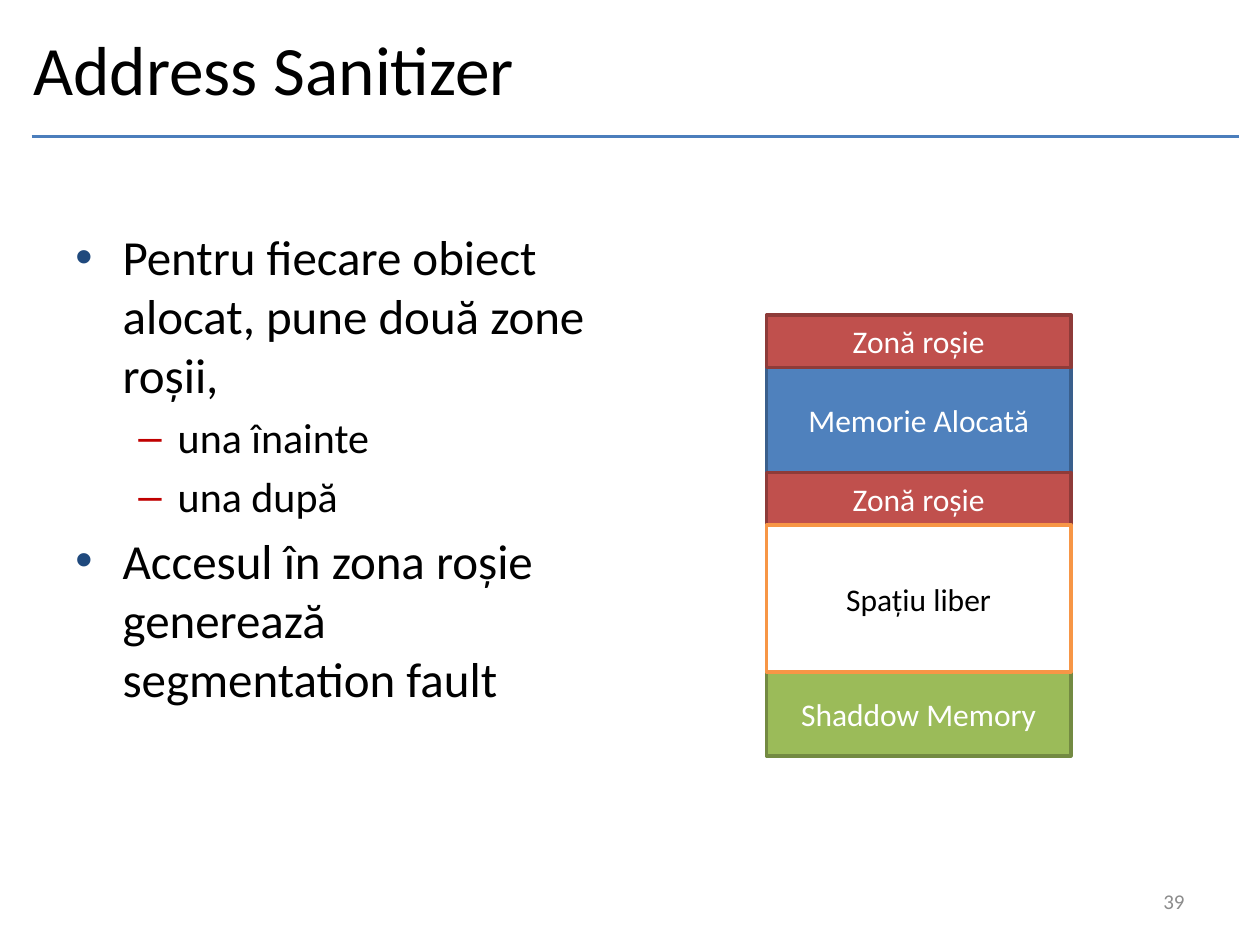
from lxml import etree
from pptx import Presentation
from pptx.dml.color import RGBColor
from pptx.enum import shapes, text
from pptx.oxml import ns
from pptx.util import Pt

FONT = "Calibri"
LEVELS = [
    {"size": 28, "left": 27, "hang": 27, "mark": "•", "color": "1F497D"},
    {"size": 24, "left": 58.5, "hang": 22.5, "mark": "–", "color": "C00000"},
]
POINTS = [
    (0, "Pentru fiecare obiect alocat, pune două zone roșii,"),
    (1, "una înainte"),
    (1, "una după"),
    (0, "Accesul în zona roșie generează segmentation fault"),
]
RED = ("C0504D", "8E3B39", "FFFFFF")
BLUE = ("4F81BD", "3A5F8C", "FFFFFF")
GREEN = ("9BBB59", "738A42", "FFFFFF")
WHITE = ("FFFFFF", "F79646", "000000")
MEMORY = [
    ("Zonă roșie", 30, RED, 1),
    ("Memorie Alocată", 60, BLUE, 0),
    ("Zonă roșie", 30, RED, 1),
    ("Spațiu liber", 84, WHITE, 2),
    ("Shaddow Memory", 48, GREEN, 1),
]


def color(value):
    return RGBColor.from_string(value)


def add_span(para, words, size, ink="000000"):
    span = para.add_run()
    span.text = words
    span.font.name = FONT
    span.font.size = Pt(size)
    span.font.color.rgb = color(ink)


def add_text_box(page, left, top, width, height, anchor):
    frame = page.shapes.add_textbox(Pt(left), Pt(top), Pt(width), Pt(height)).text_frame
    frame.word_wrap = True
    frame.vertical_anchor = anchor
    return frame


def add_bullet(para, level):
    props = para._p.get_or_add_pPr()
    props.set("marL", str(Pt(level["left"])))
    props.set("indent", str(-Pt(level["hang"])))
    tint = etree.SubElement(props, ns.qn("a:buClr"))
    etree.SubElement(tint, ns.qn("a:srgbClr"), val=level["color"])
    etree.SubElement(props, ns.qn("a:buFont"), typeface="Arial")
    etree.SubElement(props, ns.qn("a:buChar"), char=level["mark"])


def add_header(page, left, top, width, height):
    frame = add_text_box(page, left, top, width, height, text.MSO_ANCHOR.MIDDLE)
    add_span(frame.paragraphs[0], "Address Sanitizer", 39.6)
    start, level = Pt(left + 6), Pt(top + 66)
    rule = page.shapes.add_connector(
        shapes.MSO_CONNECTOR.STRAIGHT, start, level, start + Pt(690), level)
    rule.line.color.rgb = color("4B7EBC")
    rule.line.width = Pt(2)
    etree.SubElement(rule._element.spPr, ns.qn("a:effectLst"))


def add_points(page, left, top, width, height):
    frame = add_text_box(page, left, top, width, height, text.MSO_ANCHOR.TOP)
    for index, (depth, words) in enumerate(POINTS):
        para = frame.paragraphs[0] if index == 0 else frame.add_paragraph()
        level = LEVELS[depth]
        add_bullet(para, level)
        para.level = depth
        if index:
            para.space_before = Pt(level["size"] * 0.2)
        add_span(para, words, level["size"])


def add_memory_block(page, left, top, width, height, words, style):
    fill, edge, ink = style
    box = page.shapes.add_shape(
        shapes.MSO_SHAPE.RECTANGLE, Pt(left), Pt(top), Pt(width), Pt(height))
    box.shadow.inherit = False
    box.fill.solid()
    box.fill.fore_color.rgb = color(fill)
    box.line.color.rgb = color(edge)
    box.line.width = Pt(2)
    box.text_frame.word_wrap = True
    box.text_frame.vertical_anchor = text.MSO_ANCHOR.MIDDLE
    para = box.text_frame.paragraphs[0]
    para.alignment = text.PP_ALIGN.CENTER
    add_span(para, words, 18, ink)


def add_memory(page, left, top, width):
    blocks = []
    for words, height, style, layer in MEMORY:
        blocks.append((layer, top, height, words, style))
        top += height
    for layer, block_top, height, words, style in sorted(blocks):
        add_memory_block(page, left, block_top, width, height, words, style)


def add_page_number(page, left, top, width, height):
    frame = add_text_box(page, left, top, width, height, text.MSO_ANCHOR.MIDDLE)
    para = frame.paragraphs[0]
    para.alignment = text.PP_ALIGN.RIGHT
    add_span(para, "39", 12, "8C8C8C")


def main():
    deck = Presentation()
    deck.slide_width, deck.slide_height = Pt(720), Pt(540)
    page = deck.slides.add_slide(deck.slide_layouts[6])
    add_header(page, 12, 12, 588, 54)
    add_points(page, 36, 126, 318, 356)
    add_page_number(page, 516, 500.5, 168, 28.75)
    add_memory(page, 438, 180, 174)
    deck.save("out.pptx")


if __name__ == "__main__":
    main()
